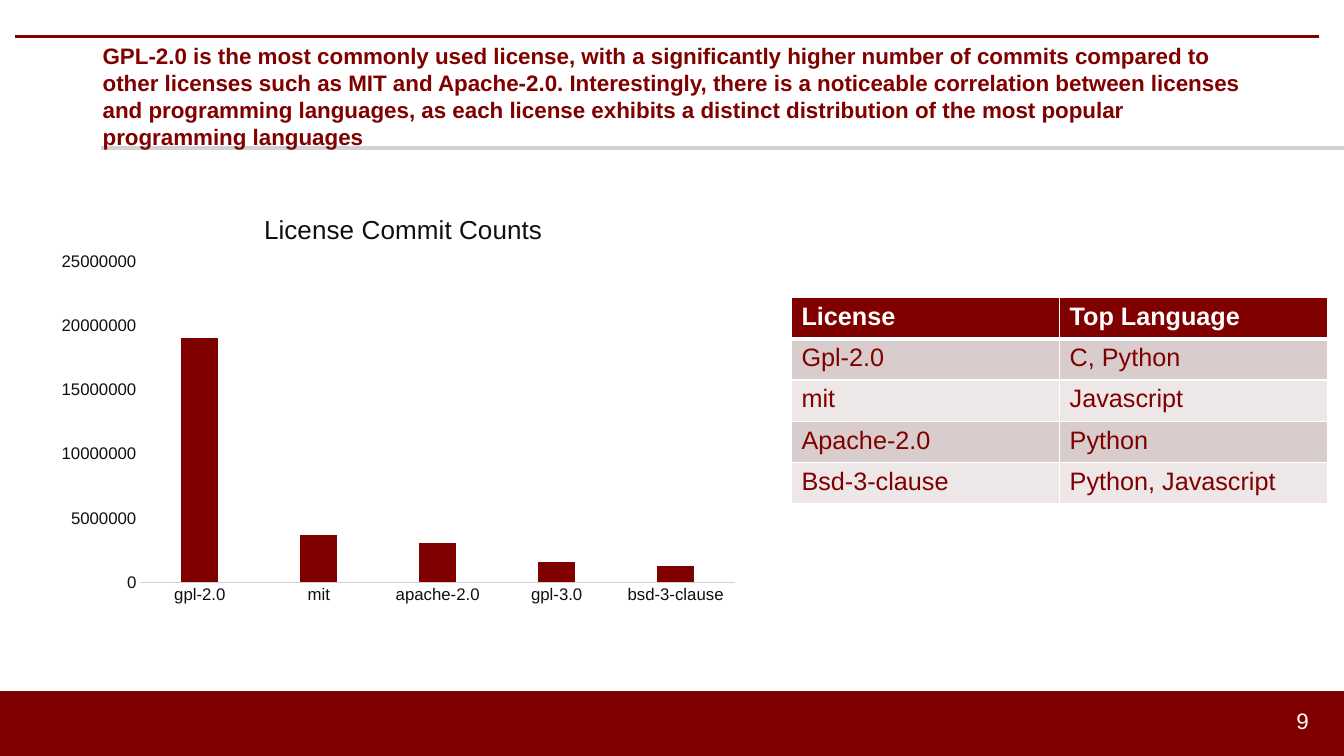
from dataclasses import dataclass

from lxml.etree import SubElement
from pptx import Presentation
from pptx.chart.data import CategoryChartData
from pptx.dml.color import RGBColor
from pptx.enum.chart import XL_CHART_TYPE, XL_TICK_MARK
from pptx.enum.shapes import MSO_CONNECTOR, MSO_SHAPE
from pptx.enum.text import MSO_ANCHOR, PP_ALIGN
from pptx.oxml import parse_xml
from pptx.oxml.ns import nsdecls, qn
from pptx.util import Emu, Pt

SCALE = 9144  # 100 px to the inch
FONT = "Arial"
HUES = {
    "maroon": "800000",
    "grey": "D2D2D2",
    "ink": "110E0E",
    "axis": "FFC6C6",
    "dark": "D8CCCC",
    "light": "EDE7E7",
    "white": "FFFFFF",
}


@dataclass
class Rule:
    left: int
    right: int
    top: int
    hue: str
    width: int


@dataclass
class Label:
    box: tuple[int, int, int, int]
    text: str
    hue: str
    bold: bool = False
    align: PP_ALIGN = PP_ALIGN.LEFT


RULES = [
    Rule(15, 1308, 36, "maroon", 2),
    Rule(100, 1333, 147, "grey", 3),
]
LABELS = [
    Label(
        (92, 23, 1150, 145),
        "GPL-2.0 is the most commonly used license, with a significantly higher "
        "number of commits compared to other licenses such as MIT and Apache-2.0. "
        "Interestingly, there is a noticeable correlation between licenses and "
        "programming languages, as each license exhibits a distinct distribution "
        "of the most popular programming languages",
        "maroon",
        bold=True,
    ),
    Label((1233, 695, 75, 40), "9", "white", align=PP_ALIGN.RIGHT),
]
COMMITS = {
    "gpl-2.0": 19100000,
    "mit": 3700000,
    "apache-2.0": 3100000,
    "gpl-3.0": 1600000,
    "bsd-3-clause": 1300000,
}
ROWS = [
    ("License", "Top Language"),
    ("Gpl-2.0", "C, Python"),
    ("mit", "Javascript"),
    ("Apache-2.0", "Python"),
    ("Bsd-3-clause", "Python, Javascript"),
]


def px(*nums: int) -> list[Emu]:
    return [Emu(num * SCALE) for num in nums]


def color(hue: str) -> RGBColor:
    return RGBColor.from_string(HUES[hue])


def style(font, size: float, hue: str, bold: bool = False) -> None:
    font.name, font.size, font.bold = FONT, Pt(size), bold
    font.color.rgb = color(hue)


def draw_rule(slide, rule: Rule) -> None:
    ends = px(rule.left, rule.top, rule.right, rule.top)
    line = slide.shapes.add_connector(MSO_CONNECTOR.STRAIGHT, *ends)
    line.line.color.rgb = color(rule.hue)
    line.line.width = Pt(rule.width)
    SubElement(line._element.spPr, qn("a:effectLst"))


def draw_label(slide, label: Label) -> None:
    frame = slide.shapes.add_textbox(*px(*label.box)).text_frame
    frame.word_wrap = True
    frame.vertical_anchor = MSO_ANCHOR.MIDDLE
    para = frame.paragraphs[0]
    para.text, para.alignment = label.text, label.align
    style(para.font, 16, label.hue, label.bold)


def draw_band(slide) -> None:
    band = slide.shapes.add_shape(MSO_SHAPE.RECTANGLE, *px(0, 686, 1333, 65))
    band.shadow.inherit = False
    band.fill.solid()
    band.fill.fore_color.rgb = color("maroon")
    band.line.color.rgb = color("maroon")
    band.line.width = Pt(1)


def place(x: float, y: float, size: tuple[float, ...] = ()):
    """Build a chart layout from fractions of the chart area."""
    tags = [("xMode", "edge"), ("yMode", "edge"), ("x", x), ("y", y)]
    if size:
        tags = [("layoutTarget", "inner"), *tags, *zip("wh", size)]
    body = "".join(f'<c:{tag} val="{val}"/>' for tag, val in tags)
    return parse_xml(
        f'<c:layout {nsdecls("c")}><c:manualLayout>{body}</c:manualLayout></c:layout>'
    )


def draw_chart(slide) -> None:
    data = CategoryChartData()
    data.categories = list(COMMITS)
    data.add_series("Series 1", list(COMMITS.values()))
    chart = slide.shapes.add_chart(
        XL_CHART_TYPE.COLUMN_CLUSTERED, *px(49, 189, 694, 418), data
    ).chart
    style(chart.font, 10, "maroon")
    chart.has_legend = False

    # Title
    chart.has_title = True
    para = chart.chart_title.text_frame.paragraphs[0]
    para.text = "License Commit Counts"
    style(para.font, 18.6, "ink")

    # Axes
    for axis in (chart.category_axis, chart.value_axis):
        axis.has_major_gridlines = False
        axis.major_tick_mark = axis.minor_tick_mark = XL_TICK_MARK.NONE
        style(axis.tick_labels.font, 12, "ink")
    chart.category_axis.format.line.color.rgb = color("grey")
    chart.category_axis.format.line.width = Pt(0.75)
    chart.value_axis.format.line.fill.background()
    chart.value_axis.minimum_scale = 0
    chart.value_axis.maximum_scale = 25000000
    chart.value_axis.major_unit = 5000000

    # Bars
    plot = chart.plots[0]
    plot.vary_by_categories = False
    plot.gap_width, plot.overlap = 219, -27
    fill = plot.series[0].format.fill
    fill.solid()
    fill.fore_color.rgb = color("maroon")

    # Layout of title and plot
    area = chart._chartSpace.chart
    for tag, spot in (
        ("c:title", place(0.3, 0.04)),
        ("c:plotArea", place(0.13, 0.17, (0.85, 0.76))),
    ):
        part = area.find(qn(tag))
        for old in part.findall(qn("c:layout")):
            part.remove(old)
        part.insert(1 if tag == "c:title" else 0, spot)


def edge(cell, side: str, width: float) -> None:
    props = cell._tc.get_or_add_tcPr()
    line = SubElement(props, qn(f"a:ln{side}"), w=str(Pt(width)))
    fill = SubElement(line, qn("a:solidFill"))
    SubElement(fill, qn("a:srgbClr"), val=HUES["white"])


def draw_table(slide) -> None:
    count = len(ROWS)
    box = px(785, 295, 532, 41 * count)
    table = slide.shapes.add_table(count, 2, *box).table
    for row, texts in enumerate(ROWS):
        head = row == 0
        for col, text in enumerate(texts):
            cell = table.cell(row, col)
            cell.text = text
            hue = "white" if head else "maroon"
            style(cell.text_frame.paragraphs[0].font, 18, hue, head)
            for side in "LRTB":
                thick = (row, side) in ((0, "B"), (1, "T"))
                edge(cell, side, 3 if thick else 1)
            cell.fill.solid()
            shade = "maroon" if head else "dark" if row % 2 else "light"
            cell.fill.fore_color.rgb = color(shade)


def main() -> None:
    deck = Presentation()
    deck.slide_width, deck.slide_height = px(1333, 750)
    slide = deck.slides.add_slide(deck.slide_layouts[6])
    draw_band(slide)
    for rule in RULES:
        draw_rule(slide, rule)
    for label in LABELS:
        draw_label(slide, label)
    draw_chart(slide)
    draw_table(slide)
    deck.save("out.pptx")


if __name__ == "__main__":
    main()
